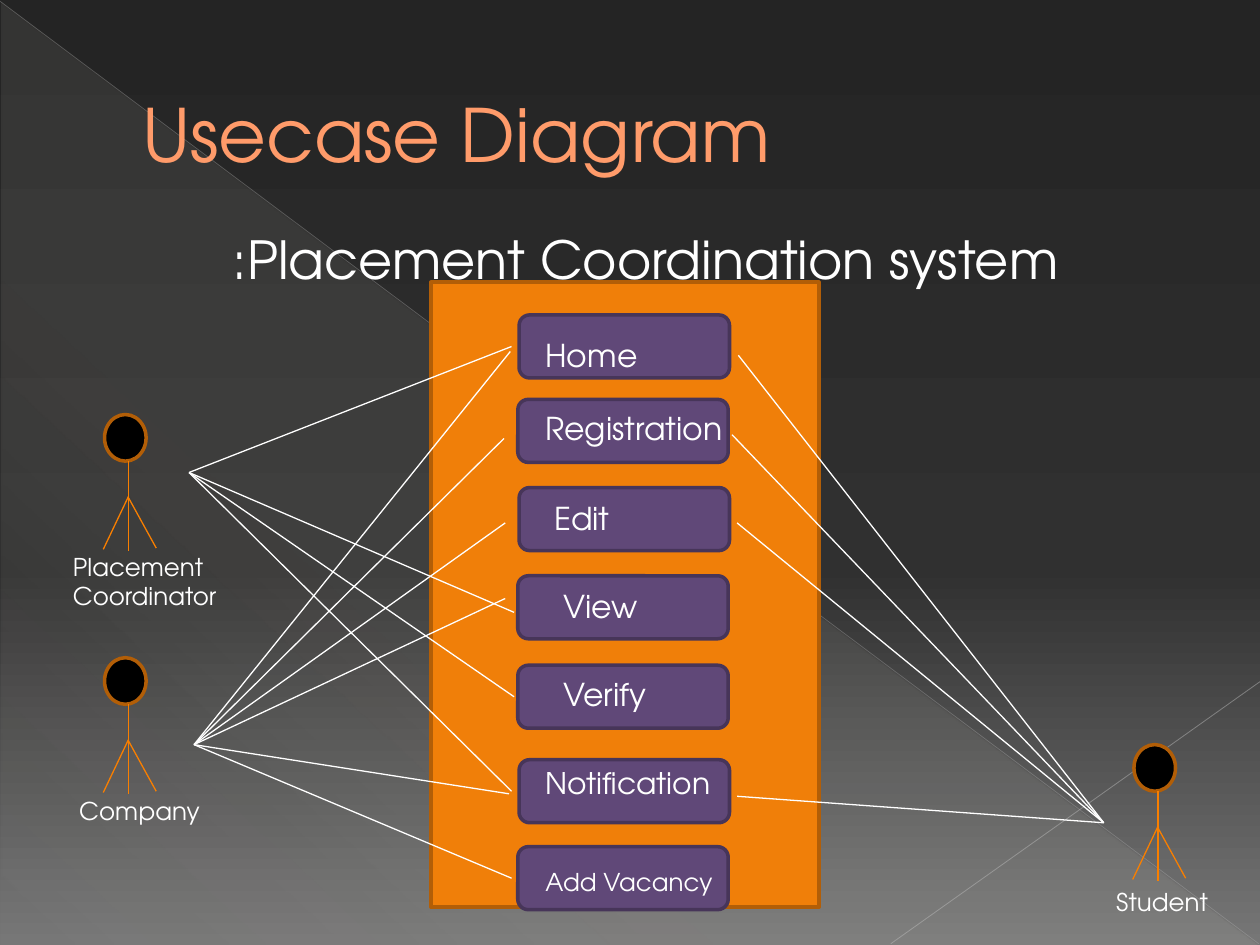
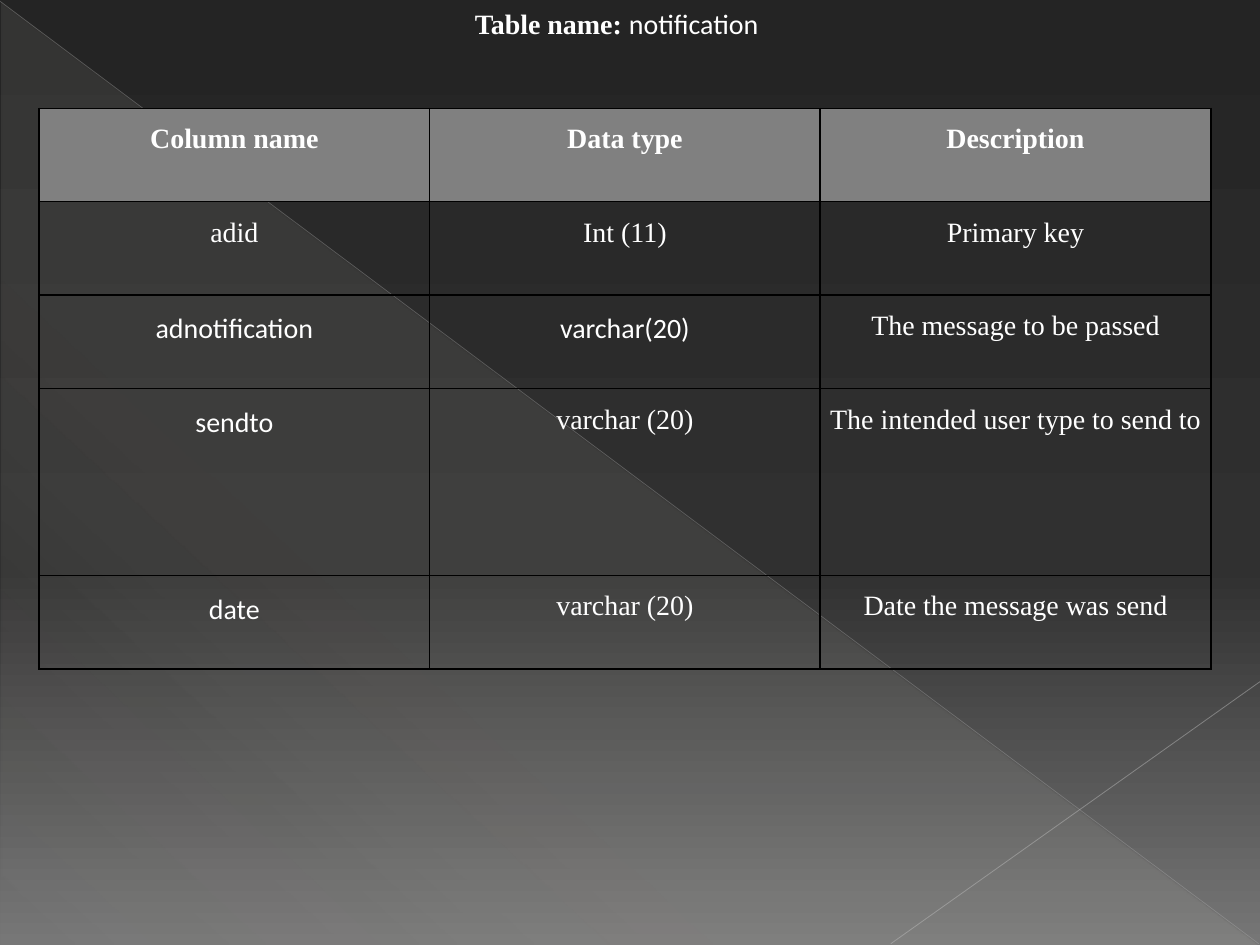
from dataclasses import dataclass

from lxml import etree
from pptx import Presentation
from pptx.dml.color import RGBColor
from pptx.enum.shapes import MSO_CONNECTOR, MSO_SHAPE
from pptx.enum.text import MSO_ANCHOR, PP_ALIGN
from pptx.oxml.ns import qn
from pptx.util import Inches, Pt

STRAIGHT = MSO_CONNECTOR.STRAIGHT
RECTANGLE, ROUNDED = MSO_SHAPE.RECTANGLE, MSO_SHAPE.ROUNDED_RECTANGLE
OVAL, TRIANGLE = MSO_SHAPE.OVAL, MSO_SHAPE.RIGHT_TRIANGLE
TOP, MIDDLE = MSO_ANCHOR.TOP, MSO_ANCHOR.MIDDLE
LEFT, CENTER = PP_ALIGN.LEFT, PP_ALIGN.CENTER


@dataclass(frozen=True)
class Theme:
    sans: str = "TeX Gyre Adventor"
    serif: str = "Times New Roman"
    plain: str = "Calibri"
    title: str = "FF9B6A"
    text: str = "FFFFFF"
    board: str = "F07F09"
    board_edge: str = "B25E07"
    case: str = "604878"
    case_edge: str = "473559"
    head: str = "000000"
    limb: str = "F97F00"
    header: str = "808080"
    grid: str = "000000"
    falling_line: str = "B6B6B6"
    rising_line: str = "BFBFBF"
    backdrop: tuple = ((0, "242424", 100), (60, "303030", 100), (100, "767676", 100))
    veil: tuple = ((0, "E3DED1", 10), (70, "E3DED1", 8), (100, "E3DED1", 1))
    title_size: float = 42
    subtitle_size: float = 30
    case_size: float = 18
    notification_size: float = 17
    table_size: float = 16
    small_size: float = 14
    edge_width: float = 2
    line_width: float = 0.75


@dataclass(frozen=True)
class Box:
    left: float
    top: float
    width: float
    height: float

    def inside(self, left, top, width, height):
        return Box(self.left + left, self.top + top, width, height)

    def lengths(self):
        return [Inches(value) for value in (self.left, self.top, self.width, self.height)]


THEME = Theme()
PAGE = Box(0, 0, 10, 7.5)

USE_CASES = [
    ("Home", 0.70, 0.26, 0.11, 0.12, THEME.case_size),
    ("Registration", 0.69, 0.93, 0.12, 0.03, THEME.case_size),
    ("Edit", 0.70, 1.63, 0.18, 0.04, THEME.case_size),
    ("View", 0.69, 2.33, 0.26, 0.04, THEME.case_size),
    ("Verify", 0.69, 3.04, 0.26, 0.03, THEME.case_size),
    ("Notification", 0.70, 3.79, 0.11, -0.01, THEME.notification_size),
    ("Add Vacancy", 0.69, 4.48, 0.12, 0.11, THEME.small_size),
]
ACTORS = [
    ("Placement Coordinator", 0.83, 3.29, -0.35, 1.04),
    ("Company", 0.83, 5.22, -0.30, 1.05),
    ("Student", 9.00, 5.91, -0.24, 1.08),
]
LIMBS = [
    ((0.19, 0.37), (0.19, 1.08)),
    ((0.19, 0.66), (0.41, 1.06)),
    ((0.19, 0.65), (-0.01, 1.07)),
]
LINKS = {
    (1.50, 3.75): [(4.06, 2.75), (4.08, 4.86), (4.08, 5.53), (4.06, 6.28)],
    (1.54, 5.91): [(4.05, 2.79), (4.00, 3.48), (4.01, 4.15),
                   (4.01, 4.75), (4.04, 6.30), (4.06, 6.97)],
    (8.76, 6.53): [(5.85, 6.32), (5.85, 4.15), (5.81, 3.45), (5.86, 2.82)],
}
COLUMNS = ["Column name", "Data type", "Description"]
FIELDS = [
    ("adid", "Int (11)", "Primary key"),
    ("adnotification", "varchar(20)", "The message to be passed"),
    ("sendto", "varchar (20)", "The intended user type to send to"),
    ("date", "varchar (20)", "Date the message was send"),
]
PLAIN_CELLS = {"adnotification", "varchar(20)", "sendto", "date"}


def add_alpha(color_element, percent):
    etree.SubElement(color_element, qn("a:alpha"), val=str(percent * 1000))


def set_gradient(fill, element, stops, angle):
    fill.gradient()
    gradient = element.find(".//" + qn("a:gradFill"))
    for child in list(gradient):
        gradient.remove(child)
    stop_list = etree.SubElement(gradient, qn("a:gsLst"))
    for position, color, opacity in stops:
        stop = etree.SubElement(stop_list, qn("a:gs"), pos=str(position * 1000))
        add_alpha(etree.SubElement(stop, qn("a:srgbClr"), val=color), opacity)
    etree.SubElement(gradient, qn("a:lin"), ang=str(angle * 60000), scaled="0")


def format_span(span, size, font, color=THEME.text, bold=False):
    span.font.size = Pt(size)
    span.font.name = font
    span.font.bold = bold
    span.font.color.rgb = RGBColor.from_string(color)


def add_text(page, box, text, size, color=THEME.text, anchor=TOP, align=LEFT):
    text_box = page.shapes.add_textbox(*box.lengths())
    frame = text_box.text_frame
    frame.word_wrap = True
    frame.vertical_anchor = anchor
    frame.text = text
    para = frame.paragraphs[0]
    para.alignment = align
    format_span(para.runs[0], size, THEME.sans, color)


def add_block(page, kind, box, fill, edge):
    shape = page.shapes.add_shape(kind, *box.lengths())
    shape.shadow.inherit = False
    shape.fill.solid()
    shape.fill.fore_color.rgb = RGBColor.from_string(fill)
    shape.line.color.rgb = RGBColor.from_string(edge)
    shape.line.width = Pt(THEME.edge_width)


def add_line(page, start, end, color=THEME.text, width=THEME.line_width, opacity=100):
    line = page.shapes.add_connector(STRAIGHT, *[Inches(value) for value in (*start, *end)])
    line.line.color.rgb = RGBColor.from_string(color)
    line.line.width = Pt(width)
    properties = line.element.spPr
    if opacity < 100:
        add_alpha(properties.find(".//" + qn("a:srgbClr")), opacity)
    etree.SubElement(properties, qn("a:effectLst"))


def add_page(deck):
    page = deck.slides.add_slide(deck.slide_layouts[6])
    set_gradient(page.background.fill, page.element, THEME.backdrop, 90)
    veil_box = PAGE.inside(0.01, 0.02, 9.98, 7.48)
    veil = page.shapes.add_shape(TRIANGLE, *veil_box.lengths())
    veil.shadow.inherit = False
    veil.line.fill.background()
    set_gradient(veil.fill, veil.element, THEME.veil, 133)
    add_line(page, (0, 0.01), (9.99, 7.49), THEME.falling_line, 0.39, 35)
    add_line(page, (10, 5.41), (7.07, 7.49), THEME.rising_line, 0.47, 45)
    return page


def add_board(page, box):
    add_block(page, RECTANGLE, box, THEME.board, THEME.board_edge)
    for name, left, top, label_left, label_top, size in USE_CASES:
        case = box.inside(left, top, 1.67, 0.5)
        add_block(page, ROUNDED, case, THEME.case, THEME.case_edge)
        add_text(page, case.inside(label_left, label_top, 1.71, 0.4), name, size)


def add_actor(page, head, name, label_left, label_top):
    add_block(page, OVAL, head, THEME.head, THEME.board_edge)
    for limb in LIMBS:
        start, end = [(head.left + x, head.top + y) for x, y in limb]
        add_line(page, start, end, THEME.limb)
    label_width = min(1.92, PAGE.width - head.left - label_left)
    label = head.inside(label_left, label_top, label_width, 0.34)
    add_text(page, label, name, THEME.small_size)


def build_usecase_page(deck):
    page = add_page(deck)
    add_text(page, PAGE.inside(1.03, 0.29, 8.47, 1.53), "Usecase Diagram",
             THEME.title_size, THEME.title, anchor=MIDDLE)
    add_text(page, PAGE.inside(0.5, 1.75, 9.25, 0.62), ":Placement Coordination system",
             THEME.subtitle_size, align=CENTER)
    add_board(page, PAGE.inside(3.42, 2.24, 3.08, 4.96))
    for name, left, top, label_left, label_top in ACTORS:
        add_actor(page, PAGE.inside(left, top, 0.33, 0.37), name, label_left, label_top)
    for hub, ends in LINKS.items():
        for end in ends:
            add_line(page, hub, end)


def add_borders(cell):
    properties = cell._tc.get_or_add_tcPr()
    for index, side in enumerate(("a:lnL", "a:lnR", "a:lnT", "a:lnB")):
        border = etree.Element(qn(side), w=str(Pt(1)))
        fill = etree.SubElement(border, qn("a:solidFill"))
        etree.SubElement(fill, qn("a:srgbClr"), val=THEME.grid)
        properties.insert(index, border)


def fill_cell(cell, text, is_header):
    cell.margin_left = cell.margin_right = cell.margin_top = cell.margin_bottom = 0
    if is_header:
        cell.fill.solid()
        cell.fill.fore_color.rgb = RGBColor.from_string(THEME.header)
    else:
        cell.fill.background()
    add_borders(cell)
    cell.text = text
    para = cell.text_frame.paragraphs[0]
    para.alignment = CENTER
    para.line_spacing = 1.5
    para.space_after = Pt(8)
    font = THEME.plain if text in PLAIN_CELLS else THEME.serif
    format_span(para.runs[0], THEME.table_size, font, bold=is_header)


def add_field_table(page, box):
    rows = [COLUMNS, *FIELDS]
    table = page.shapes.add_table(len(rows), len(COLUMNS), *box.lengths()).table
    table.first_row = table.horz_banding = False
    for column in table.columns:
        column.width = Inches(box.width / len(COLUMNS))
    unit = box.height / (len(rows) + 1)
    for row_index, values in enumerate(rows):
        height = unit * 2 if values[0] == "sendto" else unit
        table.rows[row_index].height = Inches(height)
        for column_index, text in enumerate(values):
            fill_cell(table.cell(row_index, column_index), text, row_index == 0)


def add_table_name(page, box):
    frame = page.shapes.add_textbox(*box.lengths()).text_frame
    frame.word_wrap = False
    frame.vertical_anchor = MIDDLE
    para = frame.paragraphs[0]
    for text, font, bold in (("Table name: ", THEME.serif, True),
                             ("notification", THEME.plain, False)):
        span = para.add_run()
        span.text = text
        format_span(span, THEME.table_size, font, bold=bold)


def build_table_page(deck):
    page = add_page(deck)
    add_field_table(page, PAGE.inside(0.31, 0.86, 9.3, 4.45))
    add_table_name(page, PAGE.inside(3.67, 0, 2.48, 0.37))


def main():
    deck = Presentation()
    deck.slide_width = Inches(PAGE.width)
    deck.slide_height = Inches(PAGE.height)
    build_usecase_page(deck)
    build_table_page(deck)
    deck.save("out.pptx")


if __name__ == "__main__":
    main()
